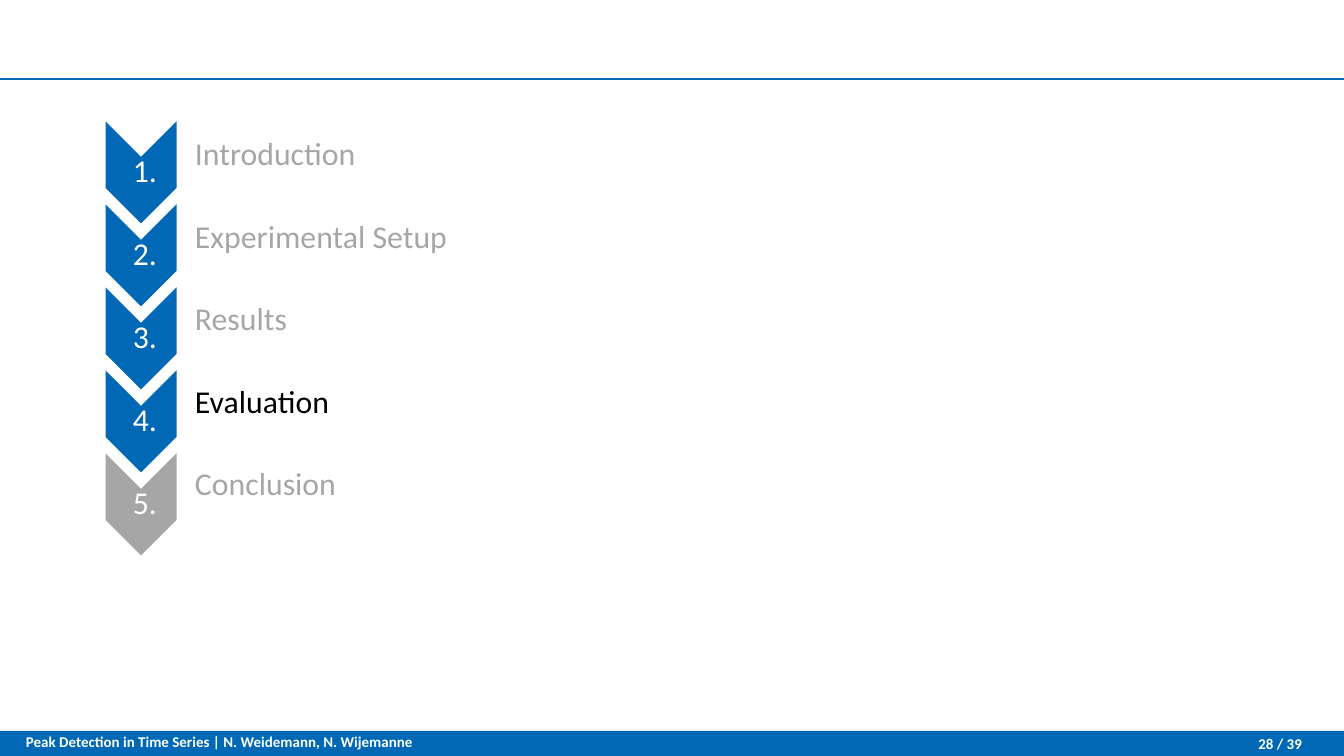
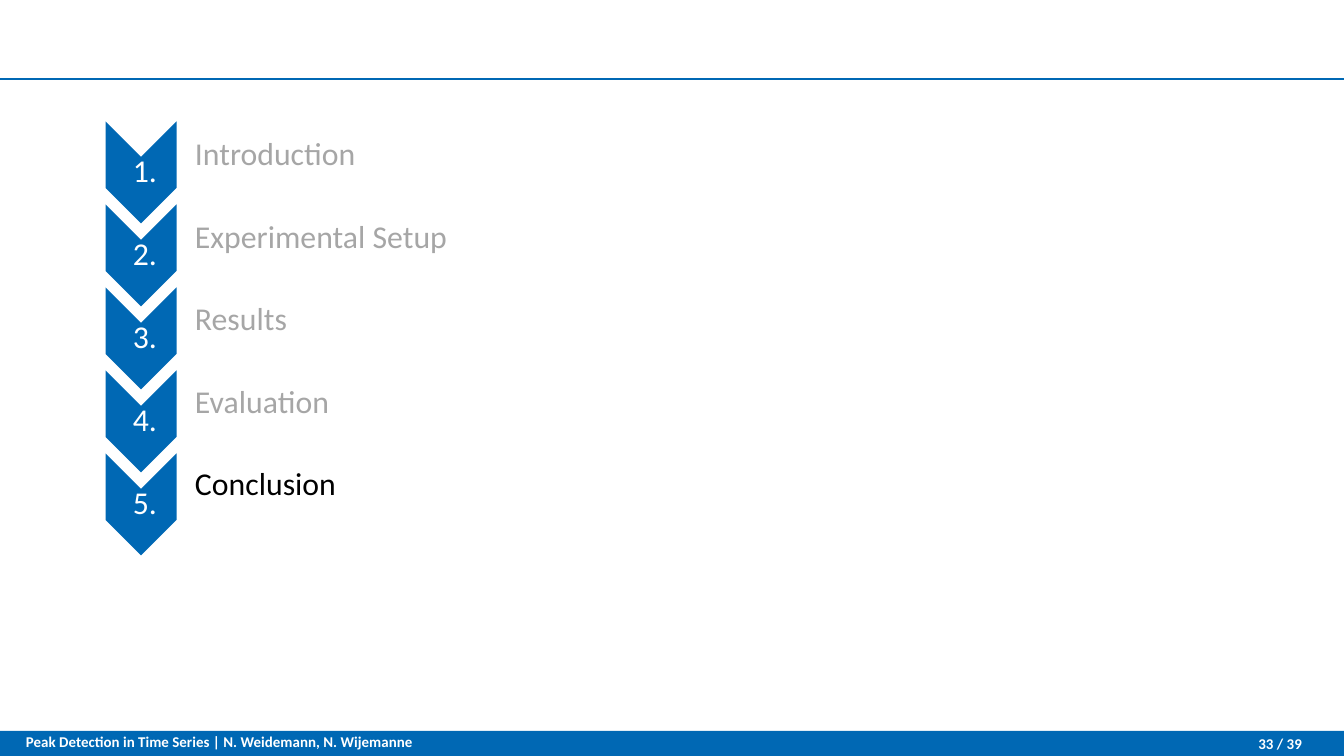
import pptx
import pptx.dml.color
import pptx.enum.shapes
import pptx.enum.text
import pptx.oxml.ns
import pptx.util
from lxml import etree

ANCHOR = pptx.enum.text.MSO_ANCHOR
ALIGN = pptx.enum.text.PP_ALIGN
SHAPE = pptx.enum.shapes.MSO_SHAPE

BLUE, GREY, WHITE, BLACK = "0068B4", "A6A6A6", "FFFFFF", "000000"
PAGE_WIDTH, PAGE_HEIGHT = 1344, 756
TOPICS = ["Introduction", "Experimental Setup", "Results", "Evaluation", "Conclusion"]
ROW_PITCH = 83
ROW_HEIGHT = 59


def px(length):
    """Turn pixels, 134.4 to the inch, into EMU."""
    return pptx.util.Emu(round(length * 914400 / 134.4))


def color(hex_code):
    return pptx.dml.color.RGBColor.from_string(hex_code)


def assign(target, values):
    for name, value in values.items():
        setattr(target, name, value)


class AgendaDeck:
    """Holds the shared style and the slide being drawn."""

    agenda_font = {"name": "Calibri", "size": pptx.util.Pt(17), "bold": False}
    footer_font = {"name": "Calibri", "size": pptx.util.Pt(8), "bold": True}

    def __init__(self):
        self.deck = pptx.Presentation()
        assign(self.deck, {"slide_width": px(PAGE_WIDTH), "slide_height": px(PAGE_HEIGHT)})
        self.page = None

    def new_page(self):
        """Add a slide that keeps only its body placeholder."""
        self.page = self.deck.slides.add_slide(self.deck.slide_layouts[1])
        title = self.page.shapes.title.element
        title.getparent().remove(title)

    def shape(self, kind, bounds, fill, rotation=0):
        shape = self.page.shapes.add_shape(kind, *map(px, bounds))
        shape.rotation = rotation
        shape.shadow.inherit = False
        shape.fill.solid()
        shape.fill.fore_color.rgb = color(fill)
        shape.line.fill.background()

    def rule(self, y):
        line = self.page.shapes.add_connector(
            pptx.enum.shapes.MSO_CONNECTOR.STRAIGHT, px(PAGE_WIDTH), px(y), 0, px(y))
        line.line.color.rgb = color(BLUE)
        line.line.width = pptx.util.Pt(1.5)
        etree.SubElement(line.element.spPr, pptx.oxml.ns.qn("a:effectLst"))

    def frame(self, box, insets, anchor):
        """Set wrapping, anchor and insets (left, top, right, bottom)."""
        sides = ("margin_left", "margin_top", "margin_right", "margin_bottom")
        assign(box.text_frame, {
            "word_wrap": True,
            "auto_size": pptx.enum.text.MSO_AUTO_SIZE.NONE,
            "vertical_anchor": anchor,
            **dict(zip(sides, map(px, insets))),
        })

    def add_words(self, para, words, font, ink, **layout):
        assign(para, layout)
        span = para.add_run()
        span.text = words
        assign(span.font, font)
        span.font.color.rgb = color(ink)

    def text(self, words, bounds, insets, font, anchor=ANCHOR.MIDDLE, **layout):
        box = self.page.shapes.add_textbox(*map(px, bounds))
        self.frame(box, insets, anchor)
        self.add_words(box.text_frame.paragraphs[0], words, font, WHITE, **layout)

    def topic_list(self, bounds, current):
        """Fill the body placeholder, with only the current topic in black."""
        body = self.page.placeholders[1]
        assign(body, dict(zip(("left", "top", "width", "height"), map(px, bounds))))
        self.frame(body, (18, 1, 1, 1), ANCHOR.MIDDLE)
        for index, topic in enumerate(TOPICS):
            para = body.text_frame.add_paragraph() if index else body.text_frame.paragraphs[0]
            properties = para._p.get_or_add_pPr()
            properties.set("marL", "0")
            properties.set("indent", "0")
            etree.SubElement(properties, pptx.oxml.ns.qn("a:buNone"))
            self.add_words(para, topic, self.agenda_font, BLACK if index == current else GREY,
                           line_spacing=0.9, space_before=pptx.util.Pt(25.8 if index else 0))

    def agenda(self, current):
        for index in range(len(TOPICS)):
            offset = index * ROW_PITCH
            self.shape(SHAPE.CHEVRON, (90, 137 + offset, 102, 71),
                       BLUE if index <= current else GREY, rotation=90)
            self.text(f"{index + 1}.", (106, 157 + offset, 71, 31), (8, 1, 1, 1),
                      self.agenda_font, alignment=ALIGN.CENTER, line_spacing=0.9)
        list_height = ROW_PITCH * (len(TOPICS) - 1) + ROW_HEIGHT
        self.topic_list((177, 125, 1058, list_height), current)

    def page_frame(self, number):
        """Draw the header rule and the footer band with its texts."""
        self.shape(SHAPE.RECTANGLE, (0, 731, PAGE_WIDTH, 25), BLUE)
        self.rule(79)
        self.text("Peak Detection in Time Series | N. Weidemann, N. Wijemanne",
                  (13, 720, 583, 46), (13, 13, 13, 13), self.footer_font, ANCHOR.TOP)
        self.text(f"{number} / 39", (1176, 731, 126, 25), (13, 7, 0, 7),
                  self.footer_font, alignment=ALIGN.RIGHT)


def main():
    agenda_deck = AgendaDeck()
    for number, topic in ((28, "Evaluation"), (33, "Conclusion")):
        agenda_deck.new_page()
        agenda_deck.page_frame(number)
        agenda_deck.agenda(TOPICS.index(topic))
    agenda_deck.deck.save("out.pptx")


if __name__ == "__main__":
    main()
